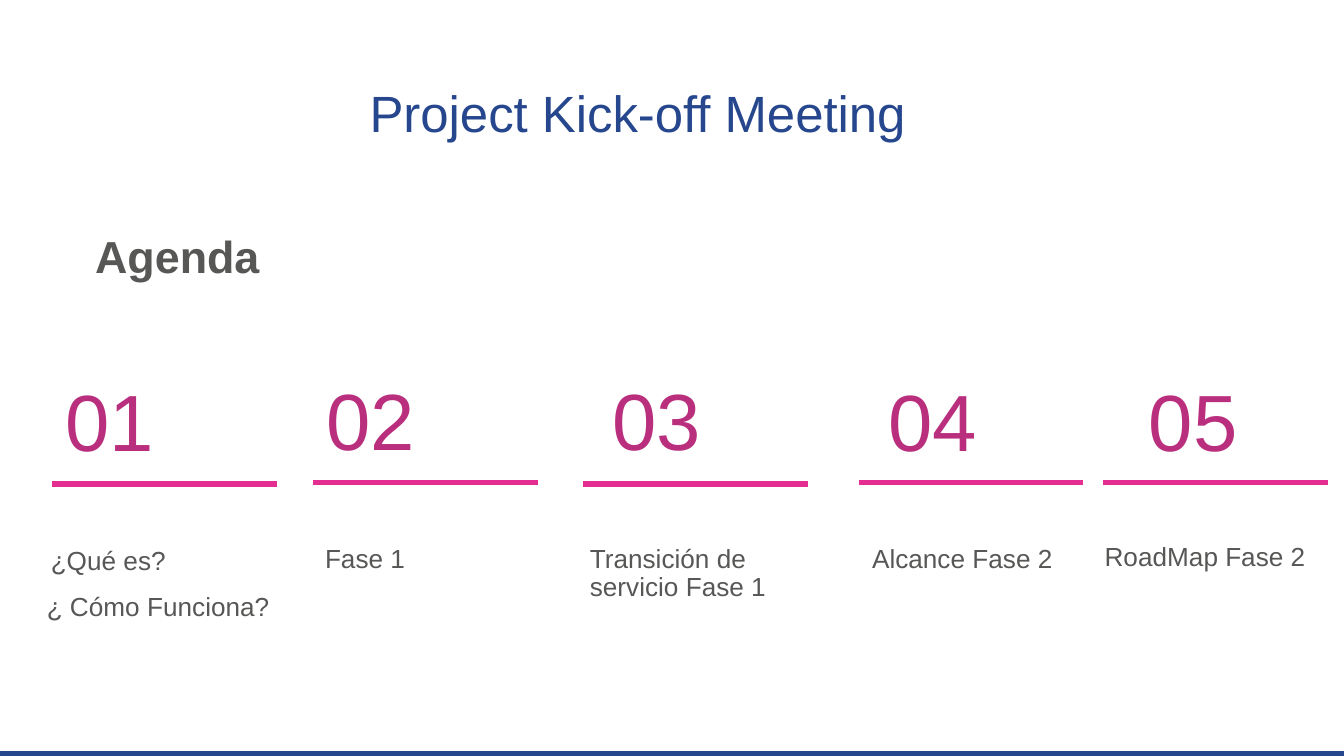
import pptx
import pptx.dml.color
import pptx.enum.shapes
import pptx.enum.text
import pptx.oxml.ns
import pptx.util
from lxml import etree

Inches = pptx.util.Inches
ANCHOR = pptx.enum.text.MSO_ANCHOR

BLUE = "26478D"
GRAY = "575756"
PURPLE = "BA2F7D"
PINK = "E32D91"

NUMBERS = [
    ("01", 0.39, 2.8),
    ("02", 2.33, 2.79),
    ("03", 4.46, 2.79),
    ("04", 6.51, 2.8),
    ("05", 8.45, 2.8),
]
RULES = [(0.39, 3.6), (2.33, 3.59), (4.34, 3.6), (6.39, 3.59), (8.21, 3.59)]
LABELS = [
    ("¿Qué es?", 0.28, 4.03, 2.07),
    ("¿ Cómo Funciona?", 0.25, 4.37, 1.96),
    ("Fase 1", 2.32, 4.01, 1.95),
    ("Transición de servicio Fase 1", 4.29, 4.01, 1.95),
    ("Alcance Fase 2", 6.39, 4.01, 1.95),
    ("RoadMap Fase 2", 8.12, 4, 1.95),
]


def color(value):
    return pptx.dml.color.RGBColor.from_string(value)


def write_text(shape, text, size, font_color, spacing=0.9, bold=False,
               margin_top=0.05, margin_bottom=0.05, anchor=ANCHOR.TOP):
    frame = shape.text_frame
    frame.word_wrap = True
    frame.auto_size = pptx.enum.text.MSO_AUTO_SIZE.NONE
    frame.vertical_anchor = anchor
    frame.margin_left = Inches(0.1)
    frame.margin_top = Inches(margin_top)
    frame.margin_bottom = Inches(margin_bottom)
    frame.text = text
    paragraph = frame.paragraphs[0]
    paragraph.alignment = pptx.enum.text.PP_ALIGN.LEFT
    paragraph.line_spacing = spacing
    paragraph.space_before = pptx.util.Pt(0)
    paragraph.font.name = "Arial"
    paragraph.font.size = pptx.util.Pt(size)
    paragraph.font.bold = bold
    paragraph.font.color.rgb = color(font_color)


def add_title(slide, text):
    title = slide.shapes.title
    title.left, title.top = Inches(2.65), Inches(0.27)
    title.width, title.height = Inches(4.82), Inches(1.02)
    write_text(title, text, 27.3, BLUE, margin_bottom=0.22, anchor=ANCHOR.BOTTOM)


def add_text(slide, text, left, top, width, height, size, font_color, **options):
    box = slide.shapes.add_textbox(
        Inches(left), Inches(top), Inches(width), Inches(height))
    write_text(box, text, size, font_color, **options)


def add_rule(slide, left, top):
    rule = slide.shapes.add_connector(
        pptx.enum.shapes.MSO_CONNECTOR.STRAIGHT,
        Inches(left), Inches(top), Inches(left + 1.67), Inches(top))
    rule.line.color.rgb = color(PINK)
    rule.line.width = pptx.util.Pt(3)
    etree.SubElement(rule._element.spPr, pptx.oxml.ns.qn("a:effectLst"))


def add_footer_bar(slide):
    bar = slide.shapes.add_shape(
        pptx.enum.shapes.MSO_SHAPE.RECTANGLE,
        Inches(0), Inches(5.59), Inches(10), Inches(0.07))
    bar.shadow.inherit = False
    bar.fill.solid()
    bar.fill.fore_color.rgb = color(BLUE)
    bar.line.fill.background()


def main():
    presentation = pptx.Presentation()
    presentation.slide_width = Inches(10)
    presentation.slide_height = Inches(10 * 9 / 16)
    slide = presentation.slides.add_slide(presentation.slide_layouts[5])

    add_title(slide, "Project Kick-off Meeting")
    add_footer_bar(slide)
    add_text(slide, "Agenda", 0.61, 1.65, 2.44, 0.5, 24, GRAY,
             spacing=1.0, bold=True)
    for number, left, top in NUMBERS:
        add_text(slide, number, left, top, 1.95, 0.67, 42.7, PURPLE)
    for left, top in RULES:
        add_rule(slide, left, top)
    for label, left, top, width in LABELS:
        add_text(slide, label, left, top, width, 2.48, 14, GRAY)

    presentation.save("out.pptx")


if __name__ == "__main__":
    main()
